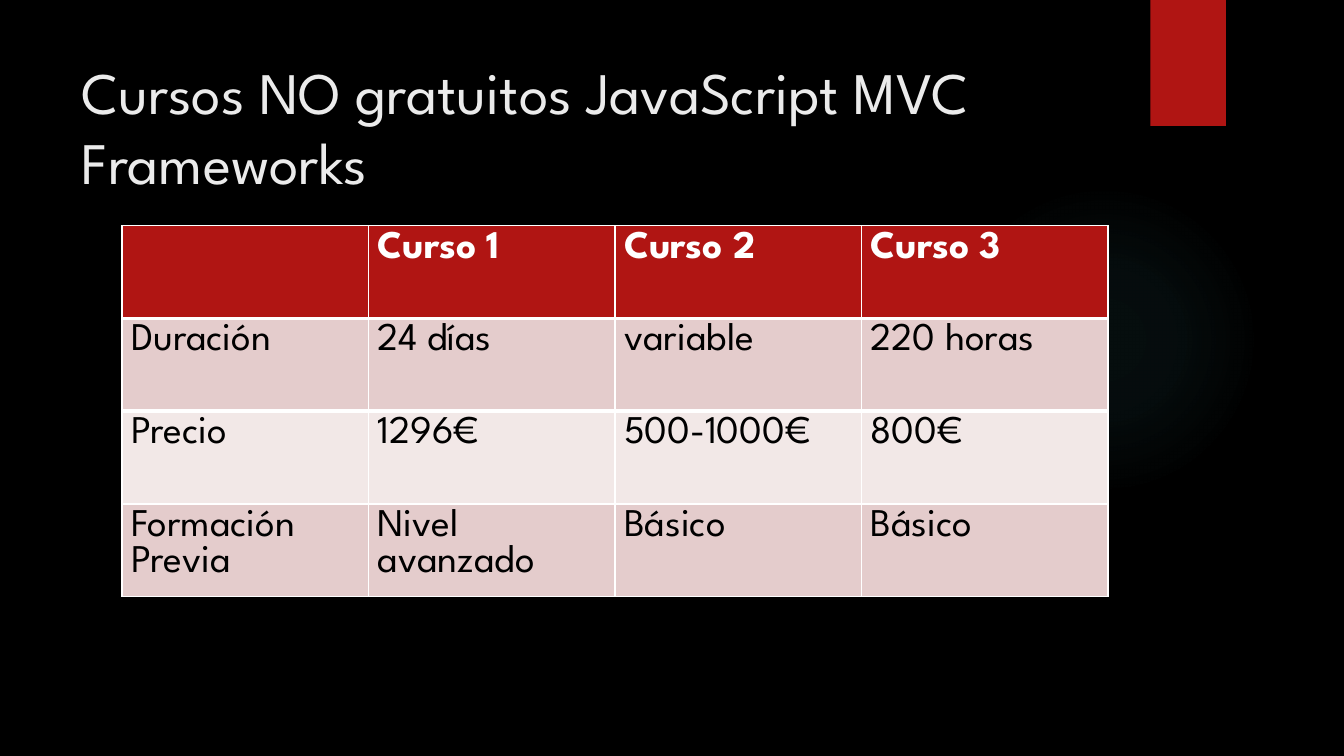
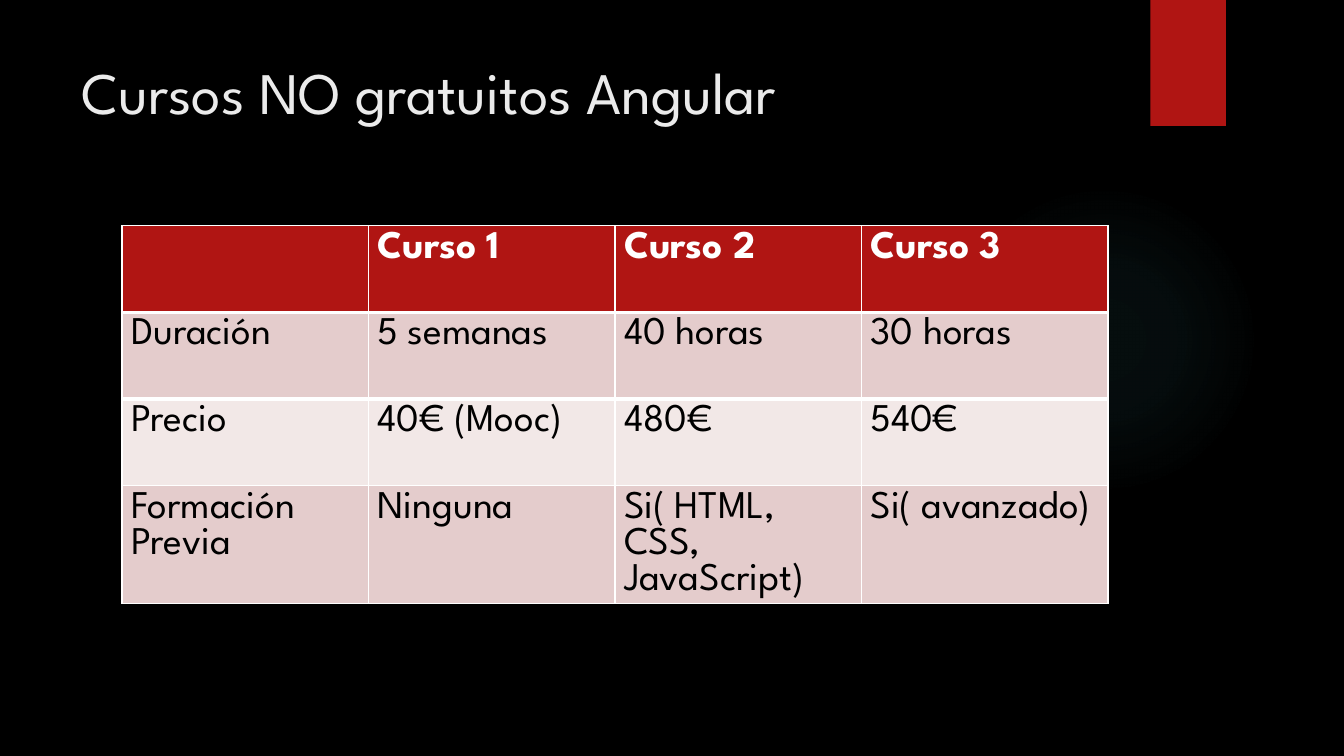
"""Build two slides that compare the paid JavaScript courses in tables."""
import pptx
import pptx.dml.color
import pptx.enum.shapes
import pptx.enum.text
import pptx.oxml
import pptx.oxml.ns
import pptx.util

FONT = "League Spartan"
RED, WHITE, BLACK, TITLE_GREY = "B01513", "FFFFFF", "000000", "EBEBEB"
GLOW = "50B9C1"
BANDS = ["E4CCCC", "F2E8E7"]
LABELS = ["Duración", "Precio", "Formación Previa"]
COURSES = [
    {
        "title": "Cursos NO gratuitos JavaScript MVC Frameworks",
        "row_height": 0.92,
        "values": [
            ["24 días", "variable", "220 horas"],
            ["1296€", "500-1000€", "800€"],
            ["Nivel avanzado", "Básico", "Básico"],
        ],
    },
    {
        "title": "Cursos NO gratuitos Angular",
        "row_height": 0.86,
        "values": [
            ["5 semanas", "40 horas", "30 horas"],
            ["40€ (Mooc)", "480€", "540€"],
            ["Ninguna", "Si( HTML, CSS, JavaScript)", "Si( avanzado)"],
        ],
    },
]


def color(value):
    return pptx.dml.color.RGBColor.from_string(value)


def style_text(paragraph, size, text_color, bold=False):
    formats = {"name": FONT, "size": pptx.util.Pt(size), "bold": bold}
    for name, value in formats.items():
        setattr(paragraph.font, name, value)
    paragraph.font.color.rgb = color(text_color)


inch = pptx.util.Inches
namespace = pptx.oxml.ns.nsdecls("a")
deck = pptx.Presentation()
deck.slide_width, deck.slide_height = inch(13.33), inch(7.5)

background = deck.slide_master.background.fill
background.solid()
background.fore_color.rgb = color(BLACK)

layout = deck.slide_layouts[5]
slides = [deck.slides.add_slide(layout) for course in COURSES]

shapes = slides[0].shapes
kinds = pptx.enum.shapes.MSO_SHAPE
glow = shapes.add_shape(kinds.OVAL, inch(9.41), inch(1.83), inch(3.08), inch(3.08))
ribbon = shapes.add_shape(kinds.RECTANGLE, inch(11.41), 0, inch(0.75), inch(1.25))
for position, decoration in enumerate([glow, ribbon], start=2):
    decoration.shadow.inherit = False
    decoration.line.fill.background()
    decoration.fill.solid()
    decoration.fill.fore_color.rgb = color(RED)
    layout.shapes.element.insert(position, decoration.element)

stops = "".join(
    f'<a:gs pos="{place * 1000}"><a:srgbClr val="{GLOW}">'
    f'<a:alpha val="{alpha * 1000}"/></a:srgbClr></a:gs>'
    for place, alpha in [(0, 7), (36, 6), (69, 0)]
)
gradient = pptx.oxml.parse_xml(
    f'<a:gradFill {namespace}><a:gsLst>{stops}</a:gsLst>'
    '<a:path path="circle">'
    '<a:fillToRect l="50000" t="50000" r="50000" b="50000"/></a:path></a:gradFill>'
)
glow_properties = glow.element.spPr
glow_properties.replace(
    glow_properties.find(pptx.oxml.ns.qn("a:solidFill")), gradient
)

for slide, course in zip(slides, COURSES):
    heading = slide.shapes.title
    box = {"left": 0.71, "top": 0.5, "width": 10.29, "height": 1.53}
    for name, value in box.items():
        setattr(heading, name, inch(value))
    frame = heading.text_frame
    frame.text = course["title"]
    frame_formats = {
        "word_wrap": True,
        "auto_size": pptx.enum.text.MSO_AUTO_SIZE.NONE,
        "vertical_anchor": pptx.enum.text.MSO_ANCHOR.TOP,
    }
    for name, value in frame_formats.items():
        setattr(frame, name, value)
    style_text(frame.paragraphs[0], 42, TITLE_GREY)
    frame.paragraphs[0].alignment = pptx.enum.text.PP_ALIGN.LEFT
    frame.paragraphs[0].line_spacing = 1.0

    header = [""] + [f"Curso {number}" for number in range(1, 4)]
    body = [[label, *row] for label, row in zip(LABELS, course["values"])]
    rows = [header, *body]
    comparison = slide.shapes.add_table(
        len(rows), len(header), inch(1.21), inch(2.24),
        inch(9.78), inch(course["row_height"] * len(rows)),
    ).table
    for row_number, row in enumerate(rows):
        is_header = row_number == 0
        for column_number, text in enumerate(row):
            cell = comparison.cell(row_number, column_number)
            cell.margin_left = cell.margin_right = inch(0.09)
            cell.fill.solid()
            cell.fill.fore_color.rgb = color(
                RED if is_header else BANDS[(row_number - 1) % 2]
            )
            if row_number < 2:
                edge = "lnB" if is_header else "lnT"
                rule = pptx.oxml.parse_xml(
                    f'<a:{edge} {namespace} w="{pptx.util.Pt(3)}"><a:solidFill>'
                    f'<a:srgbClr val="{WHITE}"/></a:solidFill></a:{edge}>'
                )
                cell.fill.fore_color.rgb = cell.fill.fore_color.rgb
                cell_properties = cell._tc.get_or_add_tcPr()
                cell_properties.insert(0, rule)
            if text:
                cell.text = text
                style_text(
                    cell.text_frame.paragraphs[0], 28,
                    WHITE if is_header else BLACK, is_header,
                )

deck.save("out.pptx")
